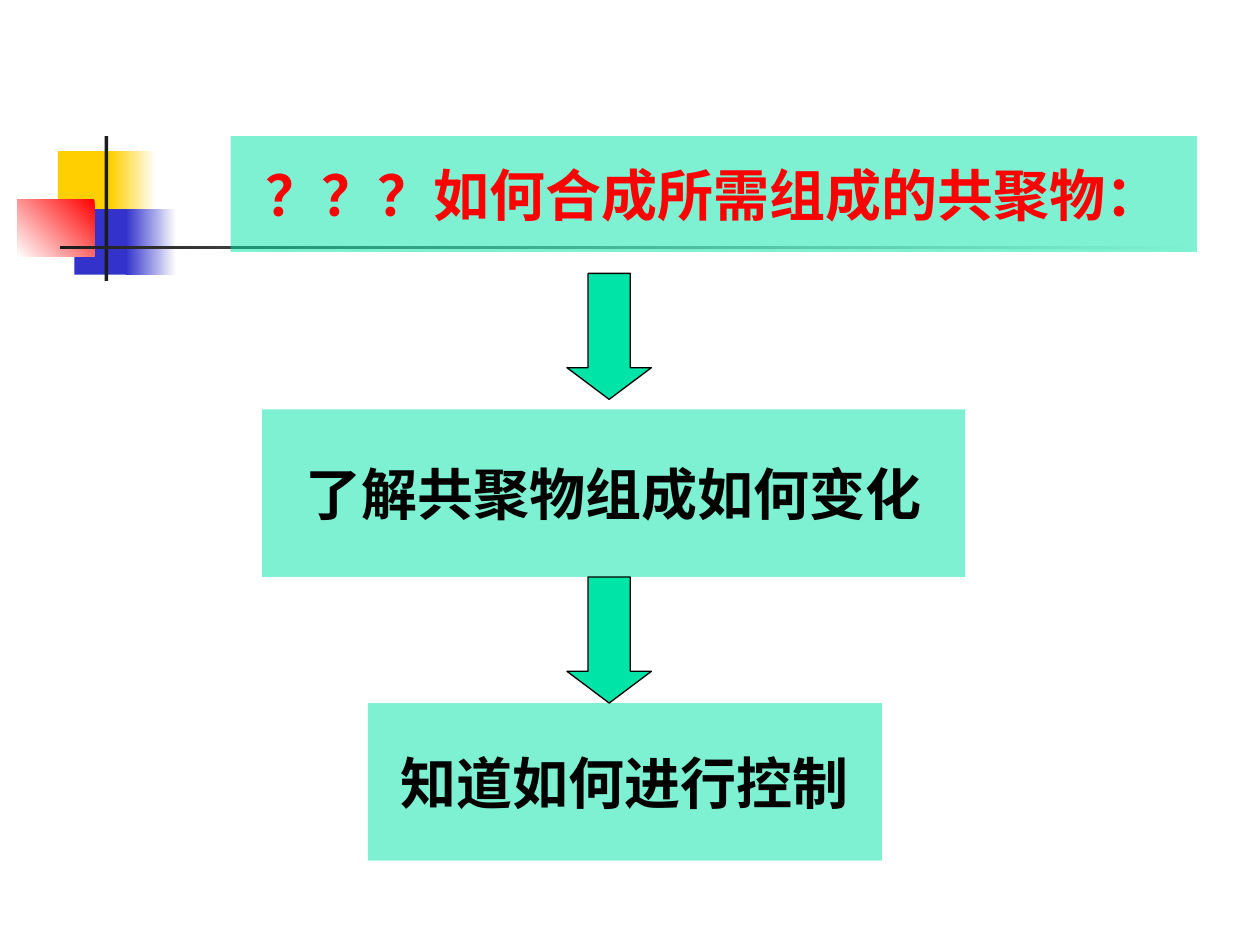
from dataclasses import dataclass
from typing import Optional

import lxml.etree
import pptx
import pptx.dml.color
import pptx.enum.shapes
import pptx.enum.text
import pptx.oxml.ns
import pptx.util

Inches = pptx.util.Inches
Pt = pptx.util.Pt
MSO_SHAPE = pptx.enum.shapes.MSO_SHAPE
qn = pptx.oxml.ns.qn


@dataclass(frozen=True)
class Theme:
    white: str = "FFFFFF"
    yellow: str = "FFCF01"
    blue: str = "3333CC"
    red: str = "FF0000"
    dark: str = "1C1C1C"
    black: str = "000000"
    green: str = "00E4A8"
    box_alpha: int = 50
    font: str = "Noto Sans CJK SC"
    text_size: int = 32
    outline: float = 0.75


@dataclass(frozen=True)
class Block:
    left: float
    top: float
    width: float
    height: float
    color: str
    end_color: Optional[str] = None
    angle: int = 180


@dataclass(frozen=True)
class Step:
    text: str
    left: float
    top: float
    width: float
    height: float
    color: str


THEME = Theme()

ORNAMENT = [
    Block(0.46, 1.2, 0.48, 0.52, THEME.yellow),
    Block(0.88, 1.2, 0.36, 0.52, THEME.white, THEME.yellow),
    Block(0.59, 1.66, 0.46, 0.52, THEME.blue),
    Block(1, 1.66, 0.4, 0.52, THEME.white, THEME.blue),
    Block(0.14, 1.58, 0.61, 0.46, THEME.red, THEME.white, 225),
    Block(0.83, 1.08, 0.03, 1.15, THEME.dark),
    Block(0.48, 1.95, 9, 0.03, THEME.white, THEME.dark),
]

STEPS = [
    Step("？？？如何合成所需组成的共聚物：", 1.83, 1.08, 7.67, 0.92, THEME.red),
    Step("了解共聚物组成如何变化", 2.08, 3.25, 5.58, 1.33, THEME.black),
    Step("知道如何进行控制", 2.92, 5.58, 4.08, 1.25, THEME.black),
]

ARROW_LEFT, ARROW_WIDTH, ARROW_HEIGHT = 4.5, 0.67, 1
ARROW_TOPS = [2.17, 4.58]


def rgb(color: str) -> pptx.dml.color.RGBColor:
    return pptx.dml.color.RGBColor.from_string(color)


def add_shape(slide, kind, left: float, top: float, width: float, height: float, color: str):
    sp = slide.shapes.add_shape(
        kind, Inches(left), Inches(top), Inches(width), Inches(height)
    )
    sp.shadow.inherit = False
    sp.line.fill.background()
    sp.fill.solid()
    sp.fill.fore_color.rgb = rgb(color)
    return sp


def draw_block(slide, b: Block) -> None:
    sp = add_shape(slide, MSO_SHAPE.RECTANGLE, b.left, b.top, b.width, b.height, b.color)
    if b.end_color:
        sp.fill.gradient()
        sp.fill.gradient_angle = b.angle
        for stop, color in zip(sp.fill.gradient_stops, (b.color, b.end_color)):
            stop.color.rgb = rgb(color)


def draw_step(slide, step: Step) -> None:
    sp = add_shape(
        slide, MSO_SHAPE.RECTANGLE, step.left, step.top, step.width, step.height, THEME.green
    )
    color = sp.fill._xPr.find(qn("a:solidFill")).find(qn("a:srgbClr"))
    lxml.etree.SubElement(color, qn("a:alpha"), val=str(THEME.box_alpha * 1000))
    tf = sp.text_frame
    tf.text = step.text
    tf.word_wrap = False
    tf.vertical_anchor = pptx.enum.text.MSO_ANCHOR.MIDDLE
    p = tf.paragraphs[0]
    p.alignment = pptx.enum.text.PP_ALIGN.CENTER
    r = p.runs[0]
    r.font.name = THEME.font
    r.font.size = Pt(THEME.text_size)
    r.font.bold = True
    r.font.color.rgb = rgb(step.color)
    lxml.etree.SubElement(r.font._element, qn("a:ea"), typeface=THEME.font)


def draw_arrow(slide, top: float) -> None:
    sp = add_shape(
        slide, MSO_SHAPE.DOWN_ARROW, ARROW_LEFT, top, ARROW_WIDTH, ARROW_HEIGHT, THEME.green
    )
    sp.adjustments[0] = 0.5
    sp.adjustments[1] = 0.375
    sp.line.color.rgb = rgb(THEME.black)
    sp.line.width = Pt(THEME.outline)


def main() -> None:
    prs = pptx.Presentation()
    prs.slide_width, prs.slide_height = Inches(10), Inches(7.5)
    s = prs.slides.add_slide(prs.slide_layouts[6])
    for block in ORNAMENT:
        draw_block(s, block)
    for step in STEPS:
        draw_step(s, step)
    for top in ARROW_TOPS:
        draw_arrow(s, top)
    prs.save("out.pptx")


if __name__ == "__main__":
    main()
